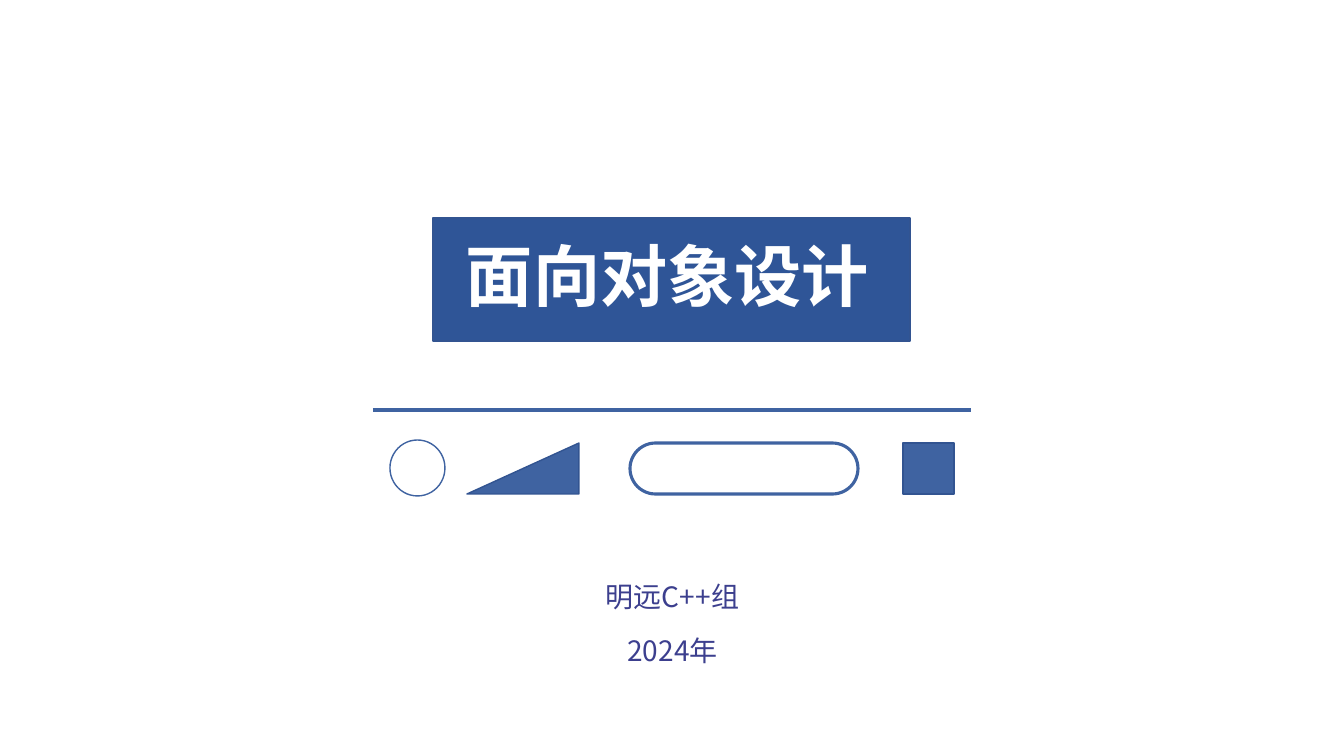
from lxml import etree
from pptx import Presentation
from pptx.dml import color
from pptx.enum import shapes, text
from pptx.oxml import ns
from pptx.util import Pt

PX = 914400 / 100.8
COLORS = {
    "banner": "2F5597",
    "edge": "325491",
    "accent": "3F63A1",
    "caption": "3C3F8E",
    "white": "FFFFFF",
}
TITLE = {"size": Pt(48), "bold": True, "name": "Lato"}
CAPTION = {"size": Pt(20), "name": "Noto Sans CJK SC"}
FRAME = {"word_wrap": True, "auto_size": text.MSO_AUTO_SIZE.SHAPE_TO_FIT_TEXT}


def px(*lengths):
    return [round(length * PX) for length in lengths]


def rgb(name):
    return color.RGBColor.from_string(COLORS[name])


def apply(target, values):
    for name, value in values.items():
        setattr(target, name, value)


def set_line(shape, line_color, width):
    shape.line.color.rgb = rgb(line_color)
    shape.line.width = Pt(width)


def add_figure(slide, kind, box, fill, line_color, width=1):
    shape = slide.shapes.add_shape(kind, *px(*box))
    shape.shadow.inherit = False
    if fill:
        shape.fill.solid()
        shape.fill.fore_color.rgb = rgb(fill)
    else:
        shape.fill.background()
    set_line(shape, line_color, width)
    return shape


def add_rule(slide, left, right, y):
    rule = slide.shapes.add_connector(
        shapes.MSO_CONNECTOR.STRAIGHT, *px(left, y, right, y))
    set_line(rule, "accent", 3)
    etree.SubElement(rule._element.spPr, ns.qn("a:effectLst"))


def add_label(slide, words, top, height, font, font_color, align, anchor):
    label = slide.shapes.add_textbox(*px(456, top, 433, height))
    apply(label.text_frame, {**FRAME, "vertical_anchor": anchor})
    paragraph = label.text_frame.paragraphs[0]
    paragraph.alignment = align
    run = paragraph.add_run()
    run.text = words
    apply(run.font, font)
    run.font.color.rgb = rgb(font_color)
    east_asian = etree.SubElement(run.font._element, ns.qn("a:ea"))
    east_asian.set("typeface", font["name"])


def main():
    presentation = Presentation()
    presentation.slide_width, presentation.slide_height = px(1344, 756)
    slide = presentation.slides.add_slide(presentation.slide_layouts[6])
    kinds = shapes.MSO_SHAPE

    add_figure(slide, kinds.RECTANGLE, (433, 218, 477, 123), "banner", "edge")
    add_label(slide, "面向对象设计", 229, 92, TITLE, "white",
              text.PP_ALIGN.JUSTIFY, text.MSO_ANCHOR.TOP)

    add_rule(slide, 373, 971, 410)
    add_figure(slide, kinds.OVAL, (390, 440, 55, 56), None, "accent")
    triangle = add_figure(slide, kinds.RIGHT_TRIANGLE, (467, 443, 112, 51),
                          "accent", "edge")
    triangle._element.spPr.xfrm.set("flipH", "1")
    pill = add_figure(slide, kinds.ROUNDED_RECTANGLE, (630, 443, 228, 51),
                      None, "accent", 2.25)
    pill.adjustments[0] = 0.5
    add_figure(slide, kinds.RECTANGLE, (903, 443, 51, 51), "accent", "edge")

    for words, top in (("明远C++组", 574), ("2024年", 628)):
        add_label(slide, words, top, 44, CAPTION, "caption",
                  text.PP_ALIGN.CENTER, text.MSO_ANCHOR.MIDDLE)

    presentation.save("out.pptx")


if __name__ == "__main__":
    main()
